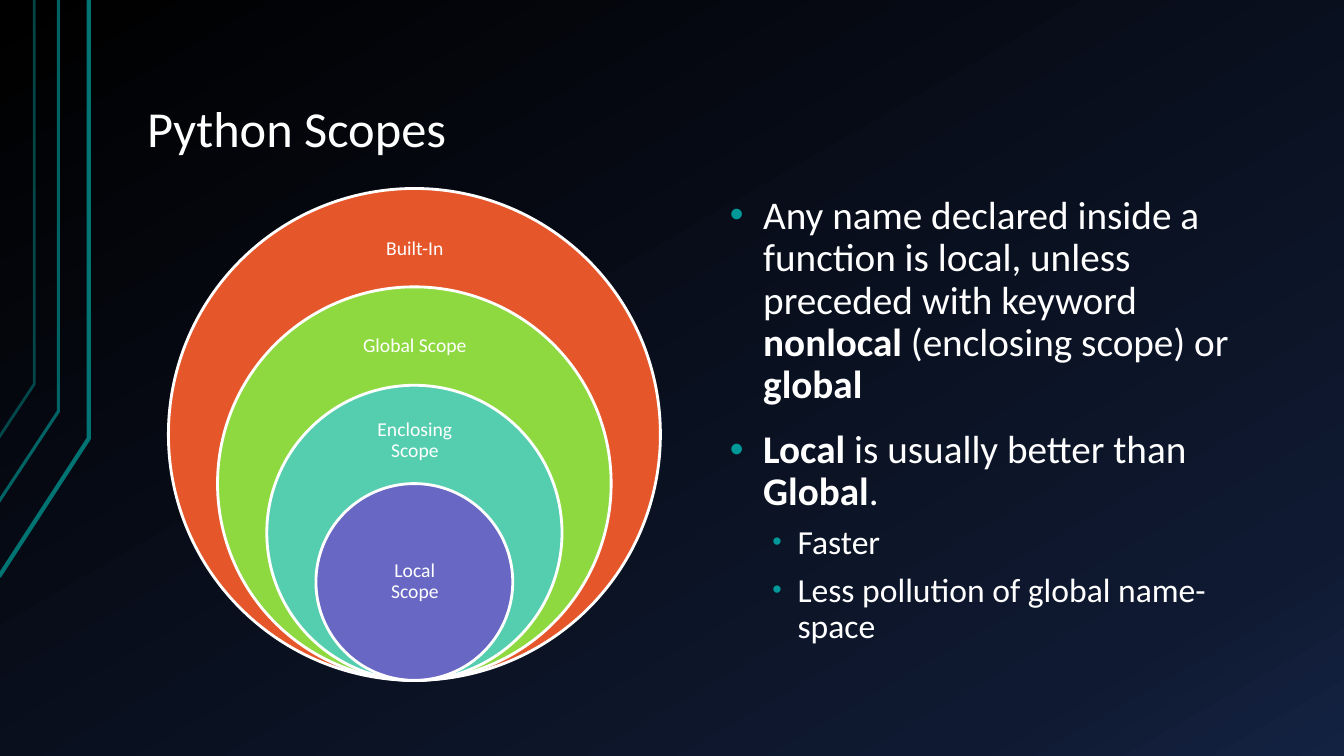
from copy import deepcopy
from lxml.etree import SubElement
from pptx import Presentation
from pptx.dml.color import RGBColor
from pptx.enum.shapes import MSO_SHAPE
from pptx.enum.text import MSO_ANCHOR, MSO_AUTO_SIZE, PP_ALIGN
from pptx.oxml.ns import qn
from pptx.util import Inches, Pt

WHITE = RGBColor(0xFF, 0xFF, 0xFF)
TEAL = RGBColor(0x00, 0x73, 0x73)
BULLET = RGBColor(0x00, 0x99, 0x99)
ORANGE = RGBColor(0xE5, 0x57, 0x2B)
GREEN = RGBColor(0x8E, 0xD9, 0x40)
AQUA = RGBColor(0x55, 0xCE, 0xAF)
PURPLE = RGBColor(0x68, 0x68, 0xC4)
BLACK = RGBColor(0x00, 0x00, 0x00)
NAVY = RGBColor(0x0F, 0x19, 0x31)
BLUE = RGBColor(0x14, 0x22, 0x42)


def add_run(p, text, size, bold=False):
    r = p.add_run()
    r.text = text
    r.font.name = "Calibri"
    r.font.size = Pt(size)
    r.font.bold = bold
    r.font.color.rgb = WHITE


def set_frame(tf, anchor, inset_x, inset_y):
    tf.word_wrap = True
    tf.auto_size = MSO_AUTO_SIZE.NONE
    tf.vertical_anchor = anchor
    tf.margin_left = tf.margin_right = Inches(inset_x)
    tf.margin_top = tf.margin_bottom = Inches(inset_y)


prs = Presentation()
prs.slide_width, prs.slide_height = Inches(13.33), Inches(7.5)
s = prs.slides.add_slide(prs.slide_layouts[1])

fill = s.background.fill
fill.gradient()
fill.gradient_angle = 300
stops = s.element.find(".//" + qn("a:gsLst"))
stops.append(deepcopy(stops[0]))
for stop, (position, color) in zip(fill.gradient_stops, [(0, BLACK), (0.85, NAVY), (1, BLUE)]):
    stop.position = position
    stop.color.rgb = color

for left, bottom, right, bend, width, alpha in [
    (-0.01, 5.72, 0.88, 4.35, 3, 100),
    (-0.02, 4.99, 0.58, 4.08, 2.25, 85),
    (-0.01, 4.34, 0.34, 3.81, 2, 60),
]:
    builder = s.shapes.build_freeform(Inches(left), Inches(bottom))
    builder.add_line_segments([(Inches(right), Inches(bend)), (Inches(right), 0)], close=False)
    trace = builder.convert_to_shape()
    trace.shadow.inherit = False
    trace.fill.background()
    trace.line.color.rgb = TEAL
    trace.line.width = Pt(width)
    color = trace.line._get_or_add_ln().find(".//" + qn("a:srgbClr"))
    SubElement(color, qn("a:alpha"), val=str(alpha * 1000))

title = s.shapes.title
title.left, title.top, title.width, title.height = Inches(1.33), Inches(0.3), Inches(11.33), Inches(1.34)
set_frame(title.text_frame, MSO_ANCHOR.BOTTOM, 0.13, 0.07)
p = title.text_frame.paragraphs[0]
p.alignment = PP_ALIGN.LEFT
p.line_spacing = 0.9
add_run(p, "Python Scopes", 36)

center, base, largest = 4.11, 6.75, 4.88
scopes = [
    (["Built-In"], ORANGE, 2.11, 0.73),
    (["Global Scope"], GREEN, 3.08, 0.7),
    (["Enclosing", "Scope"], AQUA, 4.04, 0.66),
    (["Local", "Scope"], PURPLE, 5.28, 0.98),
]
for i, (lines, color, top, height) in enumerate(scopes):
    size = largest * (1 - 0.2 * i)
    circle = s.shapes.add_shape(MSO_SHAPE.OVAL, Inches(center - size / 2), Inches(base - size),
                                Inches(size), Inches(size))
    circle.shadow.inherit = False
    circle.fill.solid()
    circle.fill.fore_color.rgb = color
    circle.line.color.rgb = WHITE
    circle.line.width = Pt(2)
    label = s.shapes.add_textbox(Inches(3.43), Inches(top), Inches(1.37), Inches(height))
    set_frame(label.text_frame, MSO_ANCHOR.MIDDLE, 0.11, 0.11)
    p = label.text_frame.paragraphs[0]
    p.alignment = PP_ALIGN.CENTER
    p.line_spacing = 0.9
    for j, line in enumerate(lines):
        if j:
            p.add_line_break()
        add_run(p, line, 14)

body = s.placeholders[1]
body.left, body.top, body.width, body.height = Inches(7.11), Inches(1.87), Inches(5.55), Inches(4.88)
tf = body.text_frame
set_frame(tf, MSO_ANCHOR.TOP, 0.13, 0.07)
levels = [(28, 16, 0.33, -0.33, 100), (24, 8, 0.67, -0.25, 80)]
points = [
    (0, [("Any name declared inside a function is local, unless preceded with keyword ", False),
         ("nonlocal", True), (" (enclosing scope) or ", False), ("global", True)]),
    (0, [("Local ", True), ("is usually better than ", False), ("Global", True), (".", False)]),
    (1, [("Faster", False)]),
    (1, [("Less pollution of global name-space", False)]),
]
for i, (level, runs) in enumerate(points):
    size, before, margin, indent, bullet_size = levels[level]
    p = tf.add_paragraph() if i else tf.paragraphs[0]
    p.level = level
    p.line_spacing = 0.9
    p.space_before = Pt(before if i else 0)
    pPr = p._p.get_or_add_pPr()
    pPr.set("marL", str(Inches(margin)))
    pPr.set("indent", str(Inches(indent)))
    SubElement(SubElement(pPr, qn("a:buClr")), qn("a:srgbClr"), val=str(BULLET))
    SubElement(pPr, qn("a:buSzPct"), val=str(bullet_size * 1000))
    SubElement(pPr, qn("a:buFont"), typeface="Arial")
    SubElement(pPr, qn("a:buChar"), char="•")
    for text, bold in runs:
        add_run(p, text, size, bold)

prs.save("out.pptx")
